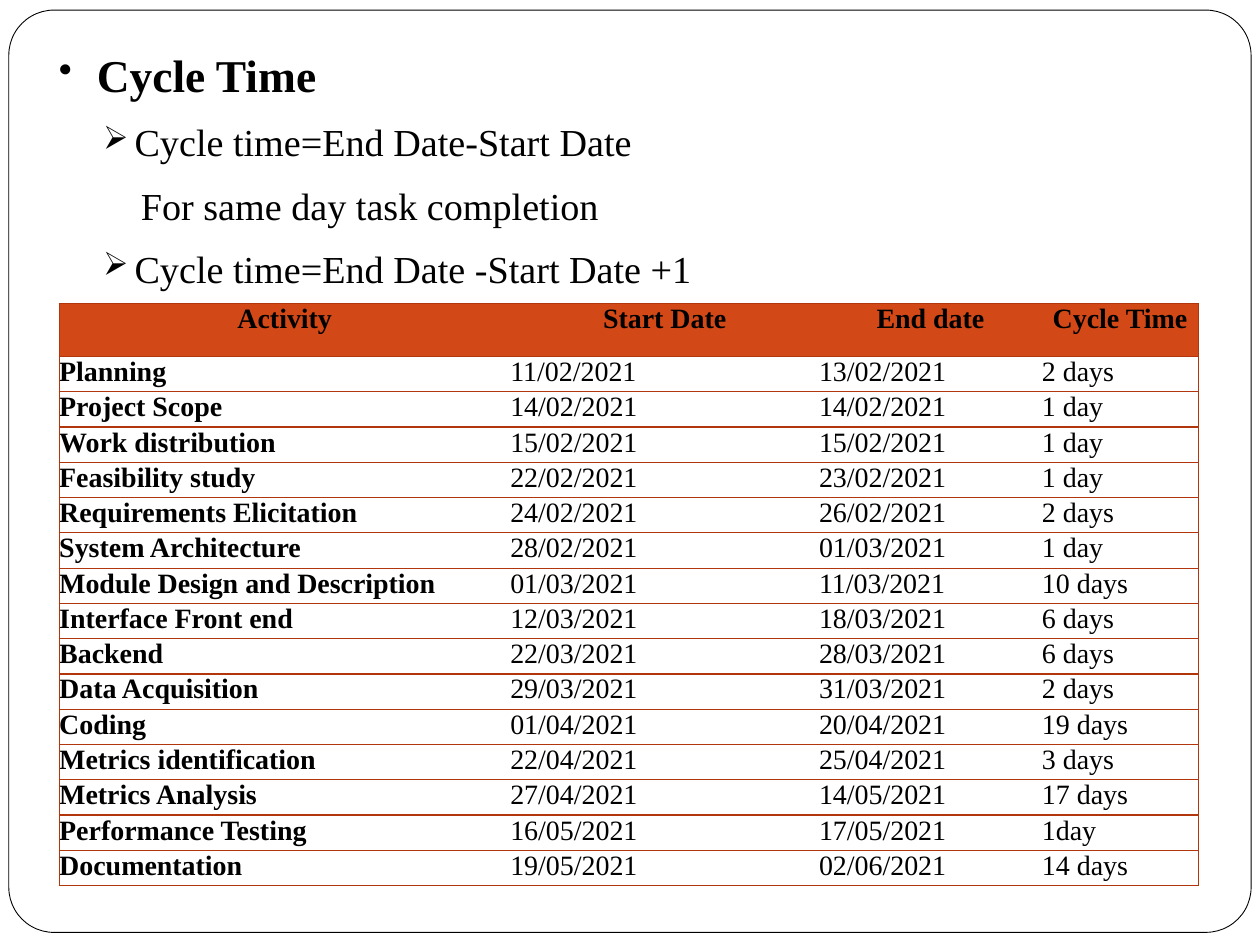
from lxml import etree
from pptx import Presentation
from pptx.dml.color import RGBColor
from pptx.enum import shapes, text
from pptx.oxml import ns
from pptx.util import Inches, Pt

FONT = "Times New Roman"
COLORS = {"text": "000000", "paper": "FFFFFF", "header": "D34817", "rule": "B1360B"}

# text, level, left margin, indent, size, bold, bullet
NOTES = [
    ("Cycle Time", 0, 0.3, -0.3, 26, True, "•"),
    ("Cycle time=End Date-Start Date", 1, 0.6, -0.25, 21.8, False, "➢"),
    ("For same day task completion", 2, 0.65, 0, 21.8, False, None),
    ("Cycle time=End Date -Start Date +1", 1, 0.6, -0.25, 21.8, False, "➢"),
]
COL_WIDTHS = [3.58, 2.45, 1.77, 1.24]
HEADER_HEIGHT, ROW_HEIGHT = 0.42, 0.28
ROWS = [
    ("Activity", "Start Date", "End date", "Cycle Time"),
    ("Planning", "11/02/2021", "13/02/2021", "2 days"),
    ("Project Scope", "14/02/2021", "14/02/2021", "1 day"),
    ("Work distribution", "15/02/2021", "15/02/2021", "1 day"),
    ("Feasibility study", "22/02/2021", "23/02/2021", "1 day"),
    ("Requirements Elicitation", "24/02/2021", "26/02/2021", "2 days"),
    ("System Architecture", "28/02/2021", "01/03/2021", "1 day"),
    ("Module Design and Description", "01/03/2021", "11/03/2021", "10 days"),
    ("Interface Front end", "12/03/2021", "18/03/2021", "6 days"),
    ("Backend", "22/03/2021", "28/03/2021", "6 days"),
    ("Data Acquisition", "29/03/2021", "31/03/2021", "2 days"),
    ("Coding", "01/04/2021", "20/04/2021", "19 days"),
    ("Metrics identification", "22/04/2021", "25/04/2021", "3 days"),
    ("Metrics Analysis", "27/04/2021", "14/05/2021", "17 days"),
    ("Performance Testing", "16/05/2021", "17/05/2021", "1day"),
    ("Documentation", "19/05/2021", "02/06/2021", "14 days"),
]


def rgb(name):
    return RGBColor.from_string(COLORS[name])


def add_run(p, content, size, bold):
    r = p.add_run()
    r.text = content
    r.font.name = FONT
    r.font.size = Pt(size)
    r.font.bold = bold
    r.font.color.rgb = rgb("text")


def set_bullet(p, char, margin, indent):
    pPr = p._p.get_or_add_pPr()
    pPr.set("marL", str(Inches(margin)))
    pPr.set("indent", str(Inches(indent)))
    if char:
        color = etree.SubElement(pPr, ns.qn("a:buClr"))
        etree.SubElement(color, ns.qn("a:srgbClr"), val=COLORS["text"])
        etree.SubElement(pPr, ns.qn("a:buSzPct"), val="85000")
        etree.SubElement(pPr, ns.qn("a:buChar"), char=char)
    else:
        etree.SubElement(pPr, ns.qn("a:buNone"))


def set_borders(cell, visible):
    """Rule the sides named in visible and clear the others."""
    tcPr = cell._tc.get_or_add_tcPr()
    for i, side in enumerate("LRTB"):
        ln = etree.Element(ns.qn("a:ln" + side), w=str(Pt(0.75)))
        if side in visible:
            fill = etree.SubElement(ln, ns.qn("a:solidFill"))
            etree.SubElement(fill, ns.qn("a:srgbClr"), val=COLORS["rule"])
        else:
            etree.SubElement(ln, ns.qn("a:noFill"))
        tcPr.insert(i, ln)


def add_frame(s, left, top, width, height):
    sp = s.shapes.add_shape(shapes.MSO_SHAPE.ROUNDED_RECTANGLE, Inches(left),
                            Inches(top), Inches(width), Inches(height))
    sp.adjustments[0] = 0.049
    sp.shadow.inherit = False
    sp.fill.solid()
    sp.fill.fore_color.rgb = rgb("paper")
    sp.line.color.rgb = rgb("text")
    sp.line.width = Pt(0.5)


def add_notes(s, left, top, width, height):
    sp = s.shapes.add_textbox(Inches(left), Inches(top), Inches(width), Inches(height))
    tf = sp.text_frame
    tf.word_wrap = True
    tf.margin_top = Inches(0.08)
    for i, (content, level, margin, indent, size, bold, bullet) in enumerate(NOTES):
        p = tf.add_paragraph() if i else tf.paragraphs[0]
        p.level = level
        p.alignment = text.PP_ALIGN.JUSTIFY
        p.space_before = Pt(10 if i else 0)
        set_bullet(p, bullet, margin, indent)
        add_run(p, content, size, bold)


def add_schedule(s, left, top, width, height):
    table = s.shapes.add_table(len(ROWS), len(COL_WIDTHS), Inches(left), Inches(top),
                               Inches(width), Inches(height)).table
    table.horz_banding = False
    for col, col_width in zip(table.columns, COL_WIDTHS):
        col.width = Inches(col_width)
    last = len(COL_WIDTHS) - 1
    for i, values in enumerate(ROWS):
        header = i == 0
        table.rows[i].height = Inches(HEADER_HEIGHT if header else ROW_HEIGHT)
        for j, value in enumerate(values):
            cell = table.cell(i, j)
            cell.margin_left = cell.margin_right = 0
            cell.margin_top = cell.margin_bottom = 0
            cell.fill.solid()
            cell.fill.fore_color.rgb = rgb("header" if header else "paper")
            set_borders(cell, "TB" + "L" * (j == 0) + "R" * (j == last))
            p = cell.text_frame.paragraphs[0]
            p.alignment = text.PP_ALIGN.CENTER if header else text.PP_ALIGN.LEFT
            add_run(p, value, 16, header or j == 0)


def main():
    prs = Presentation()
    prs.slide_width, prs.slide_height = Inches(10), Inches(7.5)
    s = prs.slides.add_slide(prs.slide_layouts[6])
    add_frame(s, 0.07, 0.08, 9.86, 7.32)
    add_notes(s, 0.37, 0.29, 9.06, 2.72)
    add_schedule(s, 0.47, 2.41, 9.06, 4.61)
    prs.save("out.pptx")


if __name__ == "__main__":
    main()
